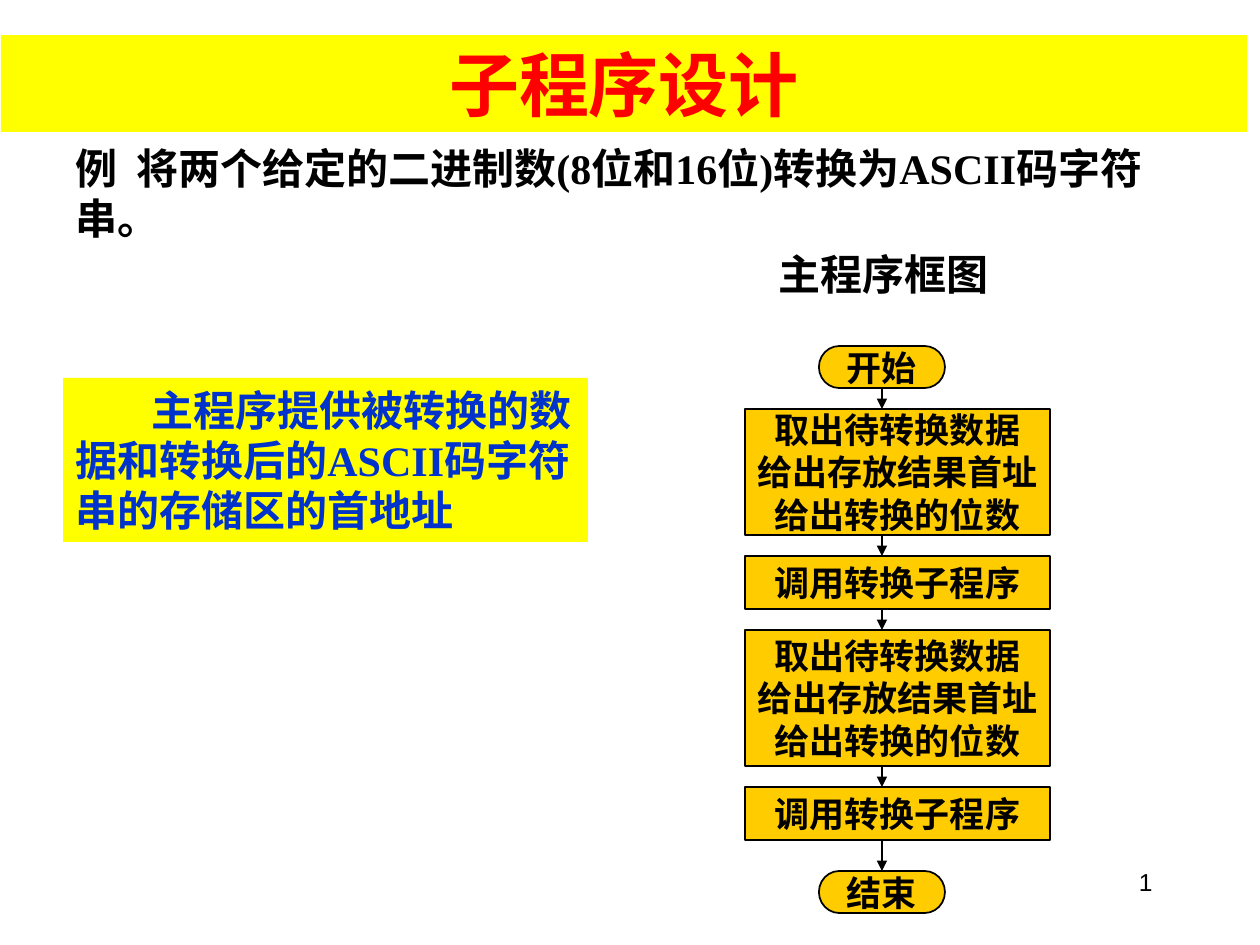
import pptx
import pptx.util
from pptx.dml.color import RGBColor
from pptx.enum.shapes import MSO_CONNECTOR, MSO_SHAPE
from pptx.enum.text import MSO_ANCHOR, PP_ALIGN
from pptx.oxml.ns import qn
from lxml import etree
from dataclasses import dataclass


@dataclass(frozen=True)
class Theme:
    band: str = "FFFF00"
    title: str = "FF0000"
    note: str = "0033CC"
    step: str = "FFCC00"
    ink: str = "000000"
    serif: str = "Times New Roman"
    sans: str = "Arial"
    title_size: int = 40
    body_size: int = 24
    step_size: int = 20
    number_size: int = 14


T = Theme()
PX = 914400 // 126  # EMU per pixel

prs = pptx.Presentation()
prs.slide_width, prs.slide_height = pptx.util.Inches(10), pptx.util.Inches(7.5)
s = prs.slides.add_slide(prs.slide_layouts[6])


def add_block(box, lines, size, color=T.ink, fill=None, line=None, kind=MSO_SHAPE.RECTANGLE,
              align=PP_ALIGN.LEFT, anchor=MSO_ANCHOR.TOP, wrap=True, font=T.serif, bold=True):
    """Add a filled shape, or a text box when there is no fill."""
    box = [v * PX for v in box]
    if fill:
        sp = s.shapes.add_shape(kind, *box)
        sp.shadow.inherit = False
        sp.fill.solid()
        sp.fill.fore_color.rgb = RGBColor.from_string(fill)
        if line:
            sp.line.color.rgb = RGBColor.from_string(line)
            sp.line.width = pptx.util.Pt(1)
        else:
            sp.line.fill.background()
    else:
        sp = s.shapes.add_textbox(*box)
    tf = sp.text_frame
    tf.word_wrap = wrap
    tf.vertical_anchor = anchor
    tf.text = "\n".join(lines)
    for p in tf.paragraphs:
        p.alignment = align
        p.font.name, p.font.size, p.font.bold = font, pptx.util.Pt(size), bold
        p.font.color.rgb = RGBColor.from_string(color)
    return sp


def add_arrow(x, top, bottom):
    cn = s.shapes.add_connector(MSO_CONNECTOR.STRAIGHT, x * PX, top * PX, x * PX, bottom * PX)
    cn.line.color.rgb = RGBColor.from_string(T.ink)
    cn.line.width = pptx.util.Pt(1)
    etree.SubElement(cn.line._get_or_add_ln(), qn("a:tailEnd"), type="triangle")
    etree.SubElement(cn._element.spPr, qn("a:effectLst"))


# Title band
add_block((1, 35, 1246, 97), ["子程序设计"], T.title_size, T.title, T.band,
          align=PP_ALIGN.CENTER)

# Example statement
add_block((63, 136, 1102, 113), ["例  将两个给定的二进制数(8位和16位)转换为ASCII码字符串。"],
          T.body_size)

# Note with a first-line indent
note = add_block((63, 378, 525, 164), ["主程序提供被转换的数据和转换后的ASCII码字符串的存储区的首地址"],
                 T.body_size, T.note, T.band)
note.text_frame.paragraphs[0]._p.get_or_add_pPr().set("indent", str(76 * PX))

# Flowchart: top, height and lines of each step
add_block((766, 242, 262, 63), ["主程序框图"], T.body_size)
prepare = ["取出待转换数据", "给出存放结果首址", "给出转换的位数"]
call = ["调用转换子程序"]
steps = [(346, 42, ["开始"]), (409, 126, prepare), (556, 53, call),
         (630, 136, prepare), (787, 53, call), (871, 42, ["结束"])]
for i, (top, height, lines) in enumerate(steps):
    is_end = i in (0, len(steps) - 1)
    left, width = (819, 126) if is_end else (745, 305)
    add_block((left, top, width, height), lines, T.step_size, fill=T.step, line=T.ink,
              kind=MSO_SHAPE.FLOWCHART_TERMINATOR if is_end else MSO_SHAPE.RECTANGLE,
              align=PP_ALIGN.CENTER, anchor=MSO_ANCHOR.MIDDLE, wrap=False)

# Arrows between neighbouring steps
for (top, height, _), (next_top, _, _) in zip(steps, steps[1:]):
    add_arrow(882, top + height, next_top)

# Slide number
add_block((903, 861, 262, 63), ["1"], T.number_size, align=PP_ALIGN.RIGHT,
          font=T.sans, bold=False)

prs.save("out.pptx")
